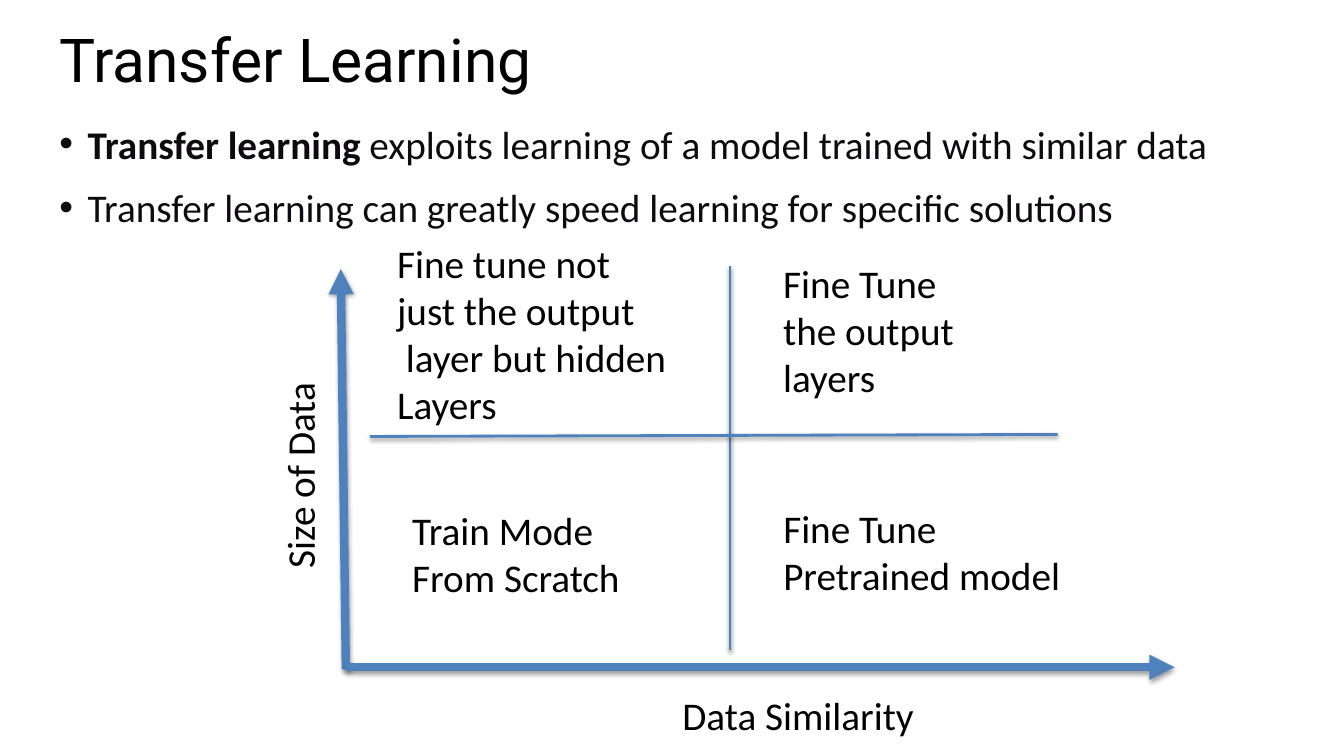
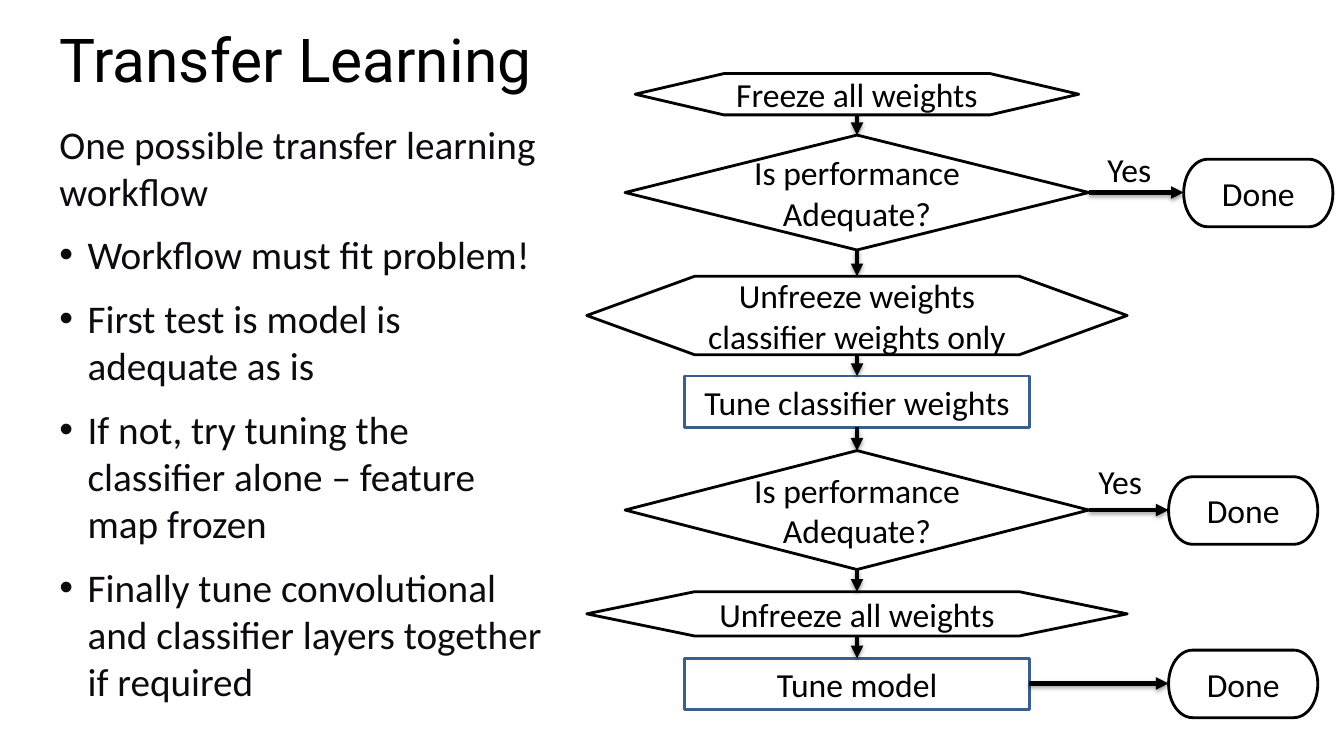
"""Build two slides on transfer learning: a strategy quadrant and a workflow."""
from itertools import pairwise

from lxml.etree import SubElement
from pptx import Presentation
from pptx.dml.color import RGBColor
from pptx.enum.shapes import MSO_CONNECTOR, MSO_SHAPE
from pptx.enum.text import MSO_ANCHOR, MSO_AUTO_SIZE, PP_ALIGN
from pptx.oxml.ns import qn
from pptx.util import Emu, Pt

PX = 9144
BLACK = RGBColor(0x00, 0x00, 0x00)
INK = RGBColor(0x0D, 0x0A, 0x10)
BLUE = RGBColor(0x4F, 0x81, 0xBD)
DARK_BLUE = RGBColor(0x3A, 0x5F, 0x8C)


def px(*lengths):
    """Turn px lengths into EMU."""
    return [Emu(round(length * PX)) for length in lengths]


def write(frame, paragraphs, font="Calibri", size=28, color=BLACK,
          align=PP_ALIGN.LEFT, line_spacing=None, gap=0, bullets_from=None, bold_lead=""):
    """Write paragraphs into a text frame in one format."""
    for index, text in enumerate(paragraphs):
        paragraph = frame.paragraphs[0] if index == 0 else frame.add_paragraph()
        paragraph.alignment = align
        paragraph.line_spacing = line_spacing
        paragraph.space_before = Pt(gap if index else 0)
        if bullets_from is not None and index >= bullets_from:
            properties = paragraph._p.get_or_add_pPr()
            indent, = px(28)
            properties.set("marL", str(indent))
            properties.set("indent", str(-indent))
            SubElement(properties, qn("a:buFont"), typeface="Arial")
            SubElement(properties, qn("a:buChar"), char="•")
        lead = bold_lead if index == 0 else ""
        for part, bold in ((lead, True), (text, False)):
            if part:
                run = paragraph.add_run()
                run.text = part
                run.font.name = font
                run.font.size = Pt(size)
                run.font.bold = bold
                run.font.color.rgb = color


class Deck:
    """Hold the shared style and the current slide."""

    def __init__(self):
        """Start an empty widescreen presentation."""
        self.presentation = Presentation()
        self.presentation.slide_width, self.presentation.slide_height = px(1333, 750)
        self.slide = None

    def add_slide(self, heading):
        """Add a slide with its title."""
        self.slide = self.presentation.slides.add_slide(self.presentation.slide_layouts[5])
        title = self.slide.shapes.title
        title.left, title.top, title.width, title.height = px(49, 25, 1243, 124)
        frame = title.text_frame
        frame.auto_size = MSO_AUTO_SIZE.NONE
        frame.vertical_anchor = MSO_ANCHOR.TOP
        write(frame, [heading], font="Roboto", size=43.2, line_spacing=0.9)

    def text(self, left, top, width, height, paragraphs, wrap=True, rotation=0, **style):
        """Add a text box."""
        box = self.slide.shapes.add_textbox(*px(left, top, width, height))
        box.rotation = rotation
        box.text_frame.word_wrap = wrap
        write(box.text_frame, paragraphs, **style)

    def body(self, width, height, paragraphs, **style):
        """Add the main text under the title."""
        self.text(49, 114, width, height, paragraphs, color=INK, gap=12, **style)

    def node(self, kind, left, top, width, height, text, outline=BLACK):
        """Add an unfilled flowchart shape with centred text."""
        shape = self.slide.shapes.add_shape(kind, *px(left, top, width, height))
        shape.shadow.inherit = False
        shape.fill.background()
        shape.line.color.rgb = outline
        shape.line.width = Pt(2)
        shape.text_frame.word_wrap = True
        shape.text_frame.vertical_anchor = MSO_ANCHOR.MIDDLE
        write(shape.text_frame, [text], size=24, align=PP_ALIGN.CENTER)

    def line(self, start, end, color=BLACK, weight=3, arrow=True):
        """Add a softly shadowed line, with an arrowhead at its end if asked."""
        connector = self.slide.shapes.add_connector(
            MSO_CONNECTOR.STRAIGHT, *px(*start, *end))
        connector.line.color.rgb = color
        connector.line.width = Pt(weight)
        if arrow:
            SubElement(connector.line._get_or_add_ln(), qn("a:tailEnd"), type="triangle")
        effects = SubElement(connector._element.spPr, qn("a:effectLst"))
        shadow = SubElement(effects, qn("a:outerShdw"), blurRad=str(Pt(3.1)),
                            dist=str(Pt(1.6)), dir="5400000", rotWithShape="0")
        shade = SubElement(shadow, qn("a:srgbClr"), val=str(BLACK))
        SubElement(shade, qn("a:alpha"), val="38000")


def build_quadrant(deck):
    """Build the slide that sets data size against data similarity."""
    deck.add_slide("Transfer Learning")
    deck.body(1242, 153, [
        "exploits learning of a model trained with similar data",
        "Transfer learning can greatly speed learning for specific solutions",
    ], bullets_from=0, bold_lead="Transfer learning ")

    for start, end in (((343, 664), (338, 267)), ((343, 662), (1165, 662))):
        deck.line(start, end, BLUE, 6)
    for start, end in (((724, 264), (724, 645)), ((367, 433), (1049, 431))):
        deck.line(start, end, BLUE, 2, arrow=False)

    strategies = (
        (399, 497, 237, 104, ["Train Mode", "From Scratch"]),
        (767, 495, 298, 104, ["Fine Tune", "Pretrained model"]),
        (767, 252, 200, 151, ["Fine Tune", "the output", "layers"]),
        (384, 232, 299, 199,
         ["Fine tune not", "just the output", " layer but hidden", "Layers"]),
    )
    for strategy in strategies:
        deck.text(*strategy, wrap=False)
    deck.text(194, 442, 206, 57, ["Size of Data"], wrap=False, rotation=270)
    deck.text(667, 681, 252, 57, ["Data Similarity"], wrap=False)


def build_workflow(deck):
    """Build the slide with the tuning flowchart."""
    deck.add_slide("Transfer Learning")
    deck.body(498, 617, [
        "One possible transfer learning workflow",
        "Workflow must fit problem!",
        "First test is model is adequate as is",
        "If not, try tuning the classifier alone – feature map frozen",
        "Finally tune convolutional and classifier layers together if required",
    ], bullets_from=1)

    center = 850
    preparation = MSO_SHAPE.FLOWCHART_PREPARATION
    decision = MSO_SHAPE.FLOWCHART_DECISION
    process = MSO_SHAPE.FLOWCHART_PROCESS
    steps = (
        (preparation, 73, 440, 41, "Freeze all weights"),
        (decision, 134, 460, 114, "Is performance Adequate?"),
        (preparation, 274, 536, 78, "Unfreeze weights classifier weights only"),
        (process, 373, 342, 51, "Tune classifier weights"),
        (decision, 447, 460, 118, "Is performance Adequate?"),
        (preparation, 587, 536, 44, "Unfreeze all weights"),
        (process, 653, 342, 51, "Tune model"),
    )
    for kind, top, width, height, text in steps:
        outline = DARK_BLUE if kind == process else BLACK
        deck.node(kind, center - width // 2, top, width, height, text, outline)
    for (_, top, _, height, _), (_, next_top, *_) in pairwise(steps):
        deck.line((center, top + height), (center, next_top))

    done_width, done_height = 148, 67
    for step, done_left in ((1, 1174), (4, 1159), (6, 1159)):
        _, top, width, height, _ = steps[step]
        middle = top + height // 2
        deck.node(MSO_SHAPE.FLOWCHART_TERMINATOR, done_left, middle - done_height // 2,
                  done_width, done_height, "Done")
        deck.line((center + width // 2, middle), (done_left, middle))
    for left, top in ((1076, 143), (1067, 452)):
        deck.text(left, top, 88, 50, ["Yes"], size=24, align=PP_ALIGN.CENTER)


def main():
    """Build and save the presentation."""
    deck = Deck()
    build_quadrant(deck)
    build_workflow(deck)
    deck.presentation.save("out.pptx")


if __name__ == "__main__":
    main()
